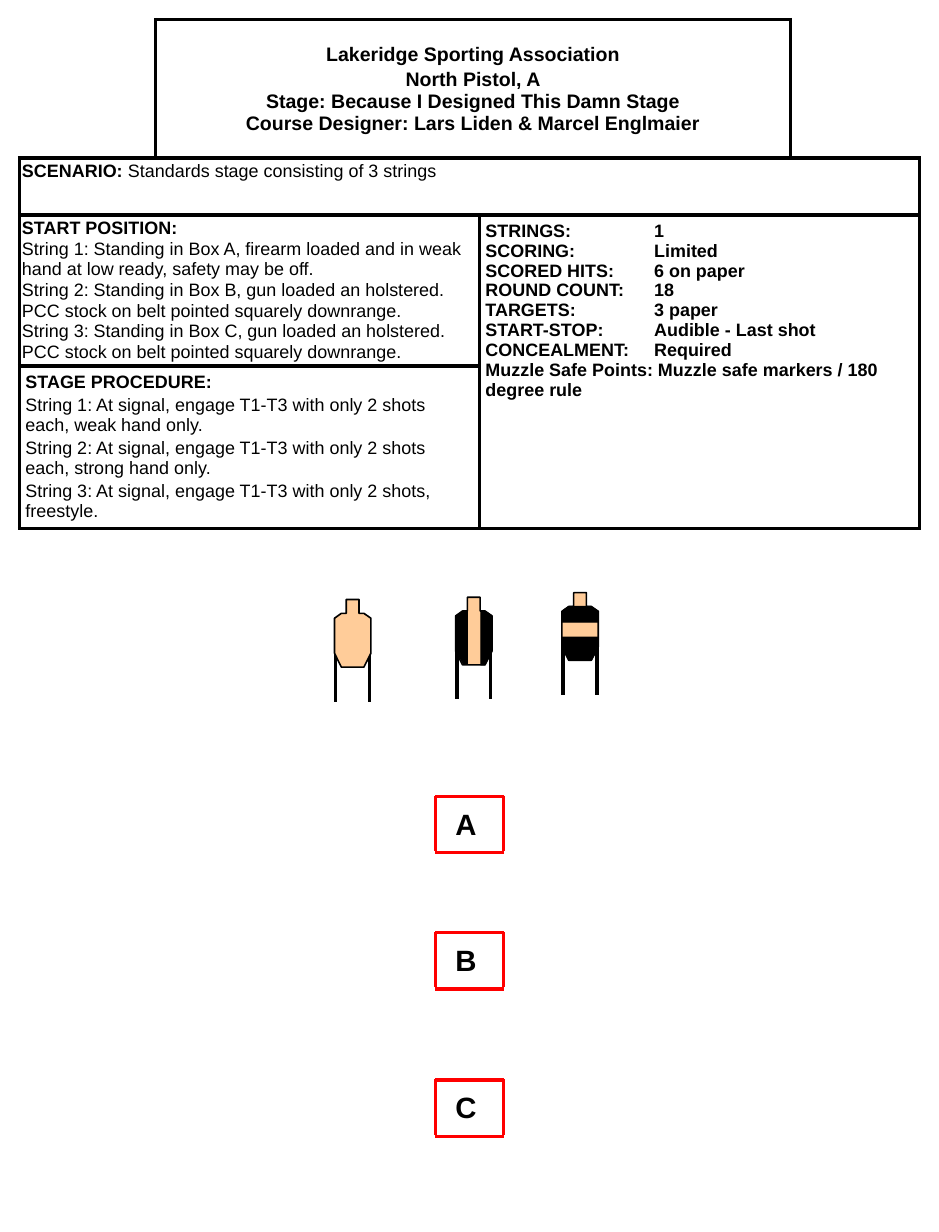
from lxml import etree
from pptx import Presentation
from pptx.dml.color import RGBColor
from pptx.enum import shapes, text
from pptx.oxml import ns
from pptx.util import Pt

BLACK = RGBColor(0x00, 0x00, 0x00)
WHITE = RGBColor(0xFF, 0xFF, 0xFF)
RED = RGBColor(0xFF, 0x00, 0x00)
TAN = RGBColor(0xFF, 0xCC, 0x99)
FONT = "Arial"

# Target outlines, in points from the top left of the target
SILHOUETTE = [(7.2, 0), (15, 0), (15, 8.5), (18, 8.5), (22.3, 11.5), (22.3, 33),
              (18, 41.5), (4.2, 41.5), (0, 33), (0, 11.5), (4.2, 8.5), (7.2, 8.5)]
RIGHT_SIDE = [(15.5, 9), (15.5, 41.5), (18, 41.5), (22.3, 33), (22.3, 11.5), (18, 8.5)]
LEFT_SIDE = [(7.2, 8.5), (7.2, 41.2), (5, 41.2), (0.5, 33), (0.5, 11.5), (5, 8.5)]
CHEST = [(4.2, 8.5), (18, 8.5), (22.3, 11.5), (22.3, 18), (0, 18), (0, 11.5)]
HIPS = [(18, 41.5), (22.3, 33.5), (22.3, 27.3), (0, 27.3), (0, 33.5), (4.2, 41)]

DETAILS = [
    ("STRINGS:", "1"),
    ("SCORING:", "Limited"),
    ("SCORED HITS:", "6 on paper"),
    ("ROUND COUNT:", "18"),
    ("TARGETS:", "3 paper"),
    ("START-STOP:", "Audible - Last shot"),
    ("CONCEALMENT:", "Required"),
]


def format_runs(paragraph, size, bold):
    for run in paragraph.runs:
        run.font.name = FONT
        run.font.size = Pt(size)
        run.font.bold = bold
        run.font.color.rgb = BLACK


def set_borders(cell, visible):
    properties = cell._tc.get_or_add_tcPr()
    for index, side in enumerate("LRTB"):
        line = etree.Element(ns.qn(f"a:ln{side}"), w=str(Pt(2.25)))
        if side in visible:
            fill = etree.SubElement(line, ns.qn("a:solidFill"))
            etree.SubElement(fill, ns.qn("a:srgbClr"), val=str(BLACK))
        else:
            etree.SubElement(line, ns.qn("a:noFill"))
        properties.insert(index, line)


def fill_cell(cell, lines, size=11, gap=0, inset=(3.6, 3.6), heading=False):
    """Write the lines; with a heading, only the first one is bold."""
    cell.margin_left = cell.margin_right = Pt(inset[0])
    cell.margin_top = cell.margin_bottom = Pt(inset[1])
    cell.text_frame.text = "\n".join(lines)
    for index, paragraph in enumerate(cell.text_frame.paragraphs):
        if index:
            paragraph.space_before = Pt(gap)
        format_runs(paragraph, size, index == 0 or not heading)


def add_tab_stop(paragraph, position):
    tabs = etree.SubElement(paragraph._p.get_or_add_pPr(), ns.qn("a:tabLst"))
    etree.SubElement(tabs, ns.qn("a:tab"), pos=str(Pt(position)), algn="l")


def add_stage_table(slide):
    widths, heights = (83.5, 198.7, 190.8, 79.2), (85, 35, 92.5, 99.5)
    table = slide.shapes.add_table(4, 4, Pt(12), Pt(12), Pt(sum(widths)),
                                   Pt(sum(heights))).table
    table.first_row = table.horz_banding = False
    for column, width in zip(table.columns, widths):
        column.width = Pt(width)
    for row, height in zip(table.rows, heights):
        row.height = Pt(height)
    for cell in table.iter_cells():
        cell.fill.solid()
        cell.fill.fore_color.rgb = WHITE
    corners = {(0, 0): "RB", (0, 3): "LB"}
    for row in range(4):
        for column in range(4):
            set_borders(table.cell(row, column), corners.get((row, column), "LRTB"))
    for first, last in (((0, 1), (0, 2)), ((1, 0), (1, 3)), ((2, 0), (2, 1)),
                        ((2, 2), (3, 3)), ((3, 0), (3, 1))):
        table.cell(*first).merge(table.cell(*last))

    # Heading
    heading = table.cell(0, 1)
    heading.vertical_anchor = text.MSO_ANCHOR.MIDDLE
    fill_cell(heading, [
        "Lakeridge Sporting Association",
        "North Pistol, A\vStage: Because I Designed This Damn Stage\v"
        "Course Designer: Lars Liden & Marcel Englmaier"], size=12, gap=2)
    for paragraph in heading.text_frame.paragraphs:
        paragraph.alignment = text.PP_ALIGN.CENTER

    # Scenario
    scenario = table.cell(1, 0)
    fill_cell(scenario, ["SCENARIO: "], inset=(1.5, 2.9))
    paragraph = scenario.text_frame.paragraphs[0]
    paragraph.line_spacing = 0.9
    paragraph.add_run().text = "Standards stage consisting of 3 strings"
    format_runs(paragraph, 11, False)
    paragraph.runs[0].font.bold = True

    # Start position and procedure
    stock = "PCC stock on belt pointed squarely downrange."
    fill_cell(table.cell(2, 0), [
        "START POSITION:",
        "String 1: Standing in Box A, firearm loaded and in weak hand at low ready, "
        "safety may be off.",
        "String 2: Standing in Box B, gun loaded an holstered.", stock,
        "String 3: Standing in Box C, gun loaded an holstered.", stock],
        gap=0.5, inset=(1.5, 2.2), heading=True)
    fill_cell(table.cell(3, 0), [
        "STAGE PROCEDURE:",
        "String 1: At signal, engage T1-T3 with only 2 shots each, weak hand only.",
        "String 2: At signal, engage T1-T3 with only 2 shots each, strong hand only.",
        "String 3: At signal, engage T1-T3 with only 2 shots, freestyle."],
        gap=2, heading=True)

    # Stage details
    details = table.cell(2, 2)
    fill_cell(details, [f"{label}\t{value}" for label, value in DETAILS]
              + ["Muzzle Safe Points: Muzzle safe markers / 180 degree rule"])
    for paragraph in details.text_frame.paragraphs[:len(DETAILS)]:
        add_tab_stop(paragraph, 103.5)


def add_line(group, start, end, color, width):
    line = group.shapes.add_connector(shapes.MSO_CONNECTOR.STRAIGHT,
                                      *map(Pt, start + end))
    line.line.color.rgb = color
    line.line.width = Pt(width)
    etree.SubElement(line._element.spPr, ns.qn("a:effectLst"))


def add_outline(group, left, top, points, color, width):
    vertices = [(Pt(left + x), Pt(top + y)) for x, y in points]
    builder = group.shapes.build_freeform(*vertices[0])
    builder.add_line_segments(vertices[1:], close=True)
    shape = builder.convert_to_shape()
    shape.shadow.inherit = False
    shape.fill.solid()
    shape.fill.fore_color.rgb = color
    shape.line.color.rgb = BLACK
    shape.line.width = Pt(width)


def add_target(slide, left, top, covers=(), cover_line=0):
    group = slide.shapes.add_group_shape()
    for leg in (left + 0.7, left + 21.4):
        add_line(group, (leg, top + 31), (leg, top + 62.7), BLACK, 2.25)
    add_outline(group, left, top, SILHOUETTE, TAN, 1)
    for cover in covers:
        add_outline(group, left, top, cover, BLACK, cover_line)


def add_start_box(slide, letter, top):
    left, right, bottom = 267.1, 308.9, top + 34.5
    group = slide.shapes.add_group_shape()
    for y in (top, bottom):
        add_line(group, (left, y), (right, y), RED, 2)
    for x in (left, right):
        add_line(group, (x, top - 0.5), (x, bottom - 1), RED, 2)
    label = group.shapes.add_textbox(Pt(272.2), Pt(top + 2.3), Pt(26.6), Pt(28.8))
    label.text_frame.word_wrap = True
    label.text_frame.text = letter
    format_runs(label.text_frame.paragraphs[0], 18, True)


def main():
    presentation = Presentation()
    presentation.slide_width, presentation.slide_height = Pt(576), Pt(756)
    slide = presentation.slides.add_slide(presentation.slide_layouts[6])
    add_stage_table(slide)

    # Targets T1 to T3
    add_target(slide, 205.2, 367.9)
    add_target(slide, 279.5, 366.5, (RIGHT_SIDE, LEFT_SIDE))
    add_target(slide, 344.7, 363.7, (CHEST, HIPS), 0.75)

    # Start boxes
    for letter, top in (("A", 488.8), ("B", 572.4), ("C", 662.8)):
        add_start_box(slide, letter, top)
    presentation.save("out.pptx")


if __name__ == "__main__":
    main()
